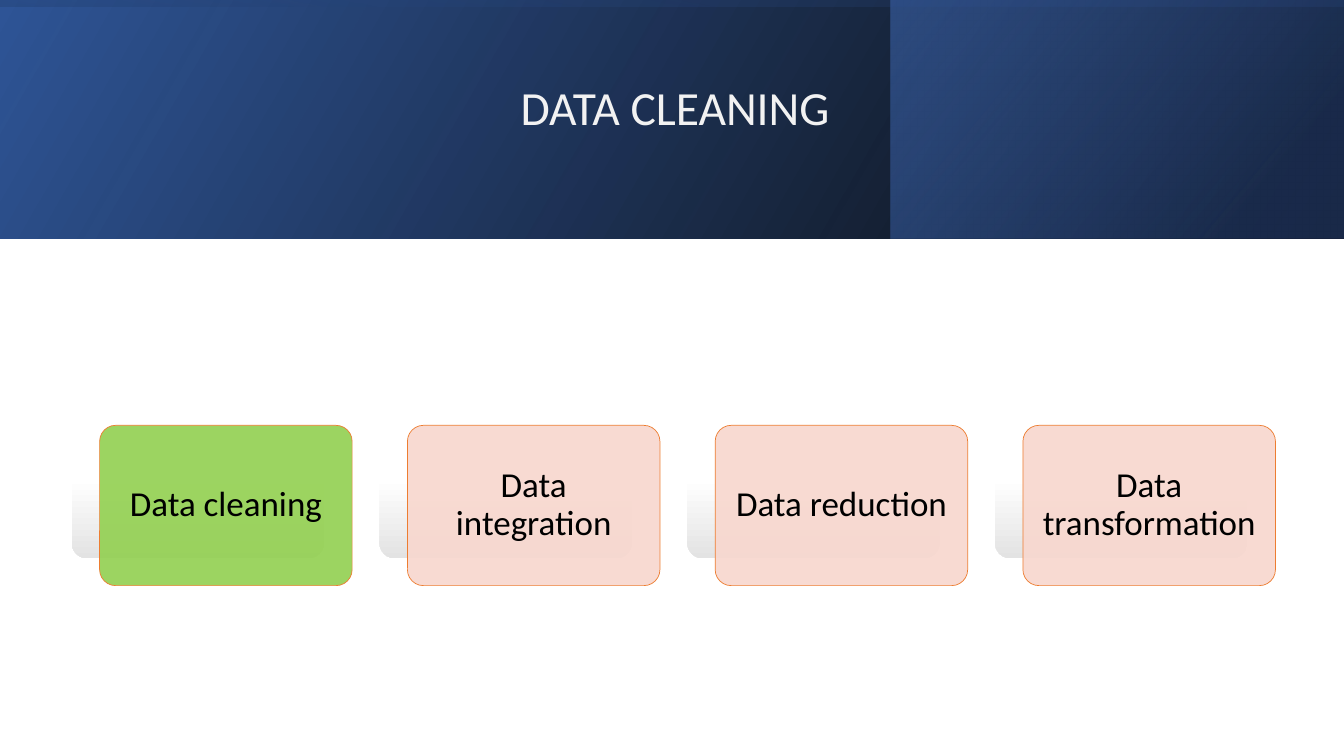
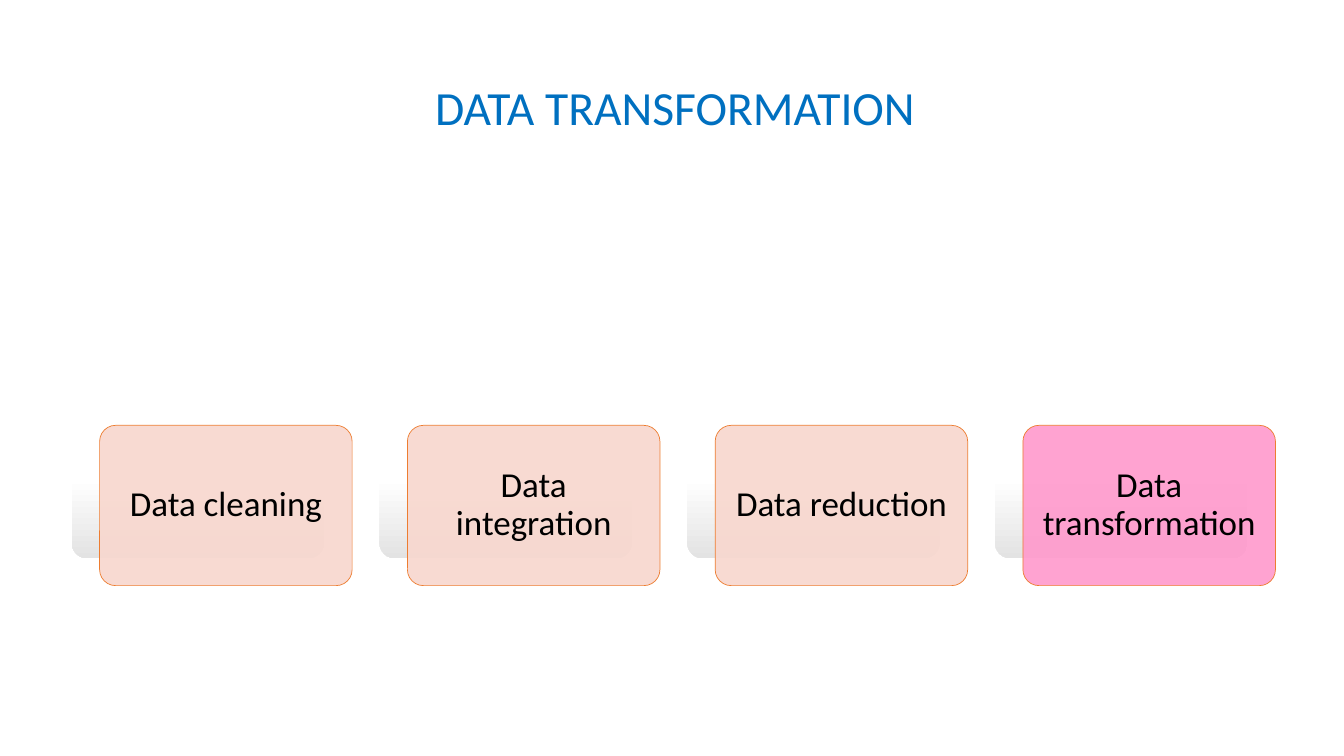
from lxml.etree import SubElement
from pptx import Presentation
from pptx.dml.color import RGBColor
from pptx.enum.shapes import MSO_SHAPE as Preset
from pptx.enum.text import MSO_ANCHOR as Anchor, MSO_AUTO_SIZE as AutoSize, PP_ALIGN as Align
from pptx.oxml.ns import qn
from pptx.util import Inches, Pt

WIDTH, HEIGHT = 13.33, 7.5
FONT = "Calibri"
BLACK, WHITE = "000000", "FFFFFF"
NAVY, DEEP_BLUE, BLUE = "2F5597", "203864", "4472C4"
TITLE_LIGHT, TITLE_BLUE = "F2F2F2", "0070C0"
PEACH, GREEN, PINK, ORANGE = "F8D7CE", "92D050", "FF99CC", "ED7D31"
SHADE = [(0, WHITE, 100), (50, WHITE, 100), (100, "E3E3E3", 100)]
BANNER = (0, 0, WIDTH, 2.37)
TITLE = (2.25, 0.72, 8.89, 0.67)
STEP_ROW = (0.71, 3.95, 11.94, 1.86)
STEP_GAP = 0.27
STEPS = ["Data cleaning", "Data integration", "Data reduction", "Data transformation"]


def rgb(value):
    return RGBColor.from_string(value)


def set_alpha(color, percent):
    SubElement(color, qn("a:alpha"), val=str(percent * 1000))


def add_block(slide, preset, box):
    block = slide.shapes.add_shape(preset, *map(Inches, box))
    block.shadow.inherit = False
    block.line.fill.background()
    return block


def fill_gradient(block, stops, angle):
    block.fill.gradient()
    gradient = block.element.spPr.find(qn("a:gradFill"))
    gradient.set("rotWithShape", "1")
    stop_list = gradient.find(qn("a:gsLst"))
    for old_stop in list(stop_list):
        stop_list.remove(old_stop)
    for position, color, opacity in stops:
        stop = SubElement(stop_list, qn("a:gs"), pos=str(position * 1000))
        set_alpha(SubElement(stop, qn("a:srgbClr"), val=color), opacity)
    direction = gradient.find(qn("a:lin"))
    direction.set("ang", str(angle * 60000))
    direction.set("scaled", "0")


def write(frame, text, size, color):
    paragraph = frame.paragraphs[0]
    paragraph.alignment = Align.CENTER
    run = paragraph.add_run()
    run.text = text
    run.font.name, run.font.size = FONT, Pt(size)
    run.font.color.rgb = rgb(color)
    return paragraph


def add_banner(slide, box):
    left, top, width, height = box
    middle_x, middle_y = left + width / 2, top + height / 2
    upright = (middle_x - height / 2, middle_y - width / 2, height, width)
    corner = (left + width * 0.663, top, width * 0.337, height)
    layers = [
        (box, 0, [(0, BLACK, 96), (100, NAVY, 100)], 330),
        (corner, 0, [(19, DEEP_BLUE, 68), (100, BLUE, 48)], 320),
        (upright, 270, [(23, NAVY, 16), (99, BLACK, 45)], 350),
    ]
    for layer_box, rotation, stops, angle in layers:
        layer = add_block(slide, Preset.RECTANGLE, layer_box)
        layer.rotation = rotation
        layer.element.spPr.get_or_add_xfrm().set("flipH", "1")
        fill_gradient(layer, stops, angle)


def add_step(slide, box, label, color):
    left, top, width, height = box
    shift_x, shift_y = width * 0.1, height * 0.145
    size = (width - shift_x, height - shift_y)
    back = add_block(slide, Preset.ROUNDED_RECTANGLE, (left, top, *size))
    fill_gradient(back, SHADE, 90)
    card = add_block(slide, Preset.ROUNDED_RECTANGLE, (left + shift_x, top + shift_y, *size))
    back.adjustments[0] = card.adjustments[0] = 0.1
    card.fill.solid()
    card.fill.fore_color.rgb = rgb(color)
    set_alpha(card.element.spPr.find(qn("a:solidFill"))[0], 90)
    card.line.color.rgb = rgb(ORANGE)
    card.line.width = Pt(0.5)
    frame = card.text_frame
    frame.word_wrap = True
    frame.vertical_anchor = Anchor.MIDDLE
    frame.margin_left = frame.margin_right = frame.margin_top = frame.margin_bottom = Inches(0.1)
    write(frame, label, 25, BLACK).line_spacing = 0.9


def add_steps(slide, box, current, highlight):
    left, top, width, height = box
    step_width = (width - STEP_GAP * (len(STEPS) - 1)) / len(STEPS)
    for column, label in enumerate(STEPS):
        step_left = left + column * (step_width + STEP_GAP)
        color = highlight if label == current else PEACH
        add_step(slide, (step_left, top, step_width, height), label, color)


def place_title(slide, box, text, color):
    title = slide.shapes.title
    title.left, title.top, title.width, title.height = map(Inches, box)
    frame = title.text_frame
    frame.word_wrap = True
    frame.auto_size = AutoSize.SHAPE_TO_FIT_TEXT
    frame.vertical_anchor = Anchor.TOP
    write(frame, text, 34, color)
    title.element.getparent().append(title.element)


def add_stage_slide(deck, current, highlight, title_color, banner=False):
    slide = deck.slides.add_slide(deck.slide_layouts[5])
    if banner:
        add_banner(slide, BANNER)
    add_steps(slide, STEP_ROW, current, highlight)
    place_title(slide, TITLE, current.upper(), title_color)


def main():
    deck = Presentation()
    deck.slide_width, deck.slide_height = Inches(WIDTH), Inches(HEIGHT)
    add_stage_slide(deck, "Data cleaning", GREEN, TITLE_LIGHT, banner=True)
    add_stage_slide(deck, "Data transformation", PINK, TITLE_BLUE)
    deck.save("out.pptx")


if __name__ == "__main__":
    main()
